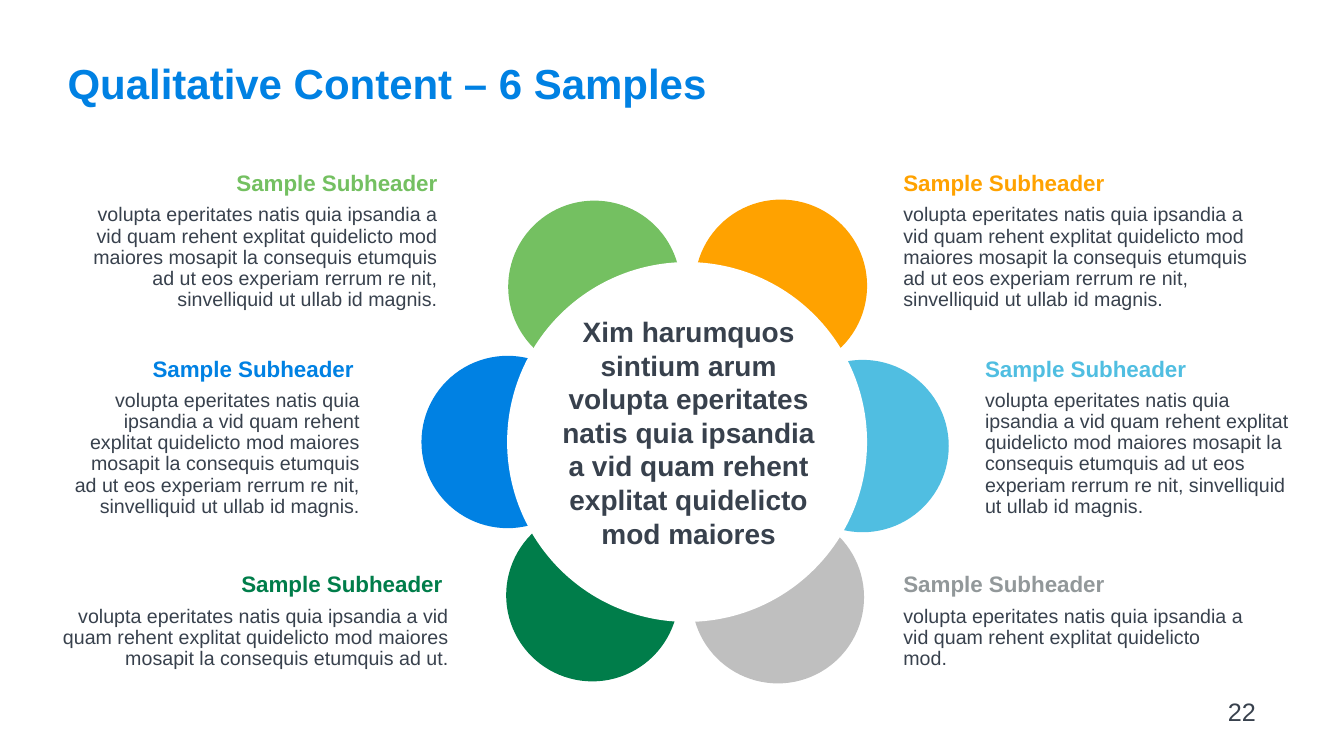
from dataclasses import dataclass

import pptx
import pptx.dml.color
import pptx.enum.shapes
import pptx.enum.text
import pptx.util
from pptx.util import Inches

ALIGN = pptx.enum.text.PP_ALIGN
FONT = "Arial"
INK = "38414D"
BLUE = "0081E3"
PETAL_SIZE = 1.71
HUB_SIZE = 3.57

SHORT = "volupta eperitates natis quia ipsandia a vid quam rehent explitat quidelicto mod"
MEDIUM = SHORT + " maiores mosapit la consequis etumquis ad ut"
LONG = MEDIUM + " eos experiam rerrum re nit, sinvelliquid ut ullab id magnis"


@dataclass
class Sample:
    petal: tuple[float, float]
    color: str
    box: tuple[float, float, float, float]
    body: str
    header: str = "Sample Subheader"
    header_color: str | None = None
    align: ALIGN = ALIGN.LEFT


SAMPLES = [
    Sample((5.02, 5.05), "007D4A", (0.4, 5.69, 4.05, 0.96), MEDIUM,
           header="Sample Subheader ", align=ALIGN.RIGHT),
    Sample((6.86, 5.07), "BFBFBF", (8.96, 5.69, 3.39, 0.96), SHORT,
           header_color="92989A"),
    Sample((4.18, 3.53), BLUE, (0.67, 3.55, 2.9, 1.6), LONG,
           header="Sample Subheader ", align=ALIGN.RIGHT),
    Sample((7.7, 3.57), "50BEE1", (9.77, 3.55, 3.1, 1.6), LONG),
    Sample((6.89, 1.98), "FFA200", (8.96, 1.71, 3.67, 1.39), LONG),
    Sample((5.04, 1.99), "74C061", (0.77, 1.71, 3.57, 1.39), LONG,
           align=ALIGN.RIGHT),
]


def rgb(value: str) -> pptx.dml.color.RGBColor:
    return pptx.dml.color.RGBColor.from_string(value)


def write(p, text: str, *, size: float, color: str = INK, bold: bool = False,
          align: ALIGN = ALIGN.LEFT, line_spacing: float | None = None,
          before: float = 0) -> None:
    """Fill a paragraph with one formatted run."""
    p.alignment = align
    p.space_before = pptx.util.Pt(before)
    if line_spacing:
        p.line_spacing = line_spacing
    r = p.add_run()
    r.text = text
    r.font.name = FONT
    r.font.size = pptx.util.Pt(size)
    r.font.bold = bold
    r.font.color.rgb = rgb(color)


def set_frame(tf, inset: bool = True, grow: bool = False) -> None:
    """Wrap and top-anchor a text frame, with or without insets."""
    tf.word_wrap = True
    tf.vertical_anchor = pptx.enum.text.MSO_ANCHOR.TOP
    sizing = pptx.enum.text.MSO_AUTO_SIZE
    tf.auto_size = sizing.SHAPE_TO_FIT_TEXT if grow else sizing.NONE
    if not inset:
        tf.margin_left = tf.margin_top = tf.margin_right = tf.margin_bottom = 0


def add_text_box(s, box: tuple[float, float, float, float], inset: bool = True,
                 grow: bool = False):
    tf = s.shapes.add_textbox(*map(Inches, box)).text_frame
    set_frame(tf, inset, grow)
    return tf


def add_circle(s, left: float, top: float, size: float, color: str) -> None:
    sp = s.shapes.add_shape(pptx.enum.shapes.MSO_SHAPE.OVAL, Inches(left), Inches(top),
                            Inches(size), Inches(size))
    sp.shadow.inherit = False
    sp.fill.solid()
    sp.fill.fore_color.rgb = rgb(color)
    sp.line.fill.background()


def add_sample(s, sample: Sample) -> None:
    """Draw a petal and the text beside it."""
    add_circle(s, *sample.petal, PETAL_SIZE, sample.color)
    tf = add_text_box(s, sample.box, inset=False, grow=True)
    write(tf.paragraphs[0], sample.header, size=16, bold=True, align=sample.align,
          color=sample.header_color or sample.color, line_spacing=0.9)
    write(tf.add_paragraph(), sample.body + ".", size=14, align=sample.align,
          line_spacing=0.9, before=6)


def main() -> None:
    prs = pptx.Presentation()
    prs.slide_width, prs.slide_height = Inches(13.33), Inches(7.5)
    s = prs.slides.add_slide(prs.slide_layouts[5])

    title = s.shapes.title
    title.left, title.top = Inches(0.67), Inches(0.57)
    title.width, title.height = Inches(12), Inches(0.45)
    set_frame(title.text_frame, inset=False)
    write(title.text_frame.paragraphs[0], "Qualitative Content – 6 Samples",
          size=30, color=BLUE, bold=True)

    for sample in SAMPLES:
        add_sample(s, sample)

    add_circle(s, 5.03, 2.6, HUB_SIZE, "FFFFFF")
    hub = add_text_box(s, (5.37, 3.07, 2.92, 2.46), grow=True)
    write(hub.paragraphs[0],
          "Xim harumquos sintium arum volupta eperitates natis quia ipsandia "
          "a vid quam rehent explitat quidelicto mod maiores",
          size=20, bold=True, align=ALIGN.CENTER)

    number = add_text_box(s, (12.08, 6.86, 0.58, 0.25))
    write(number.paragraphs[0], "22", size=18)

    prs.save("out.pptx")


if __name__ == "__main__":
    main()
